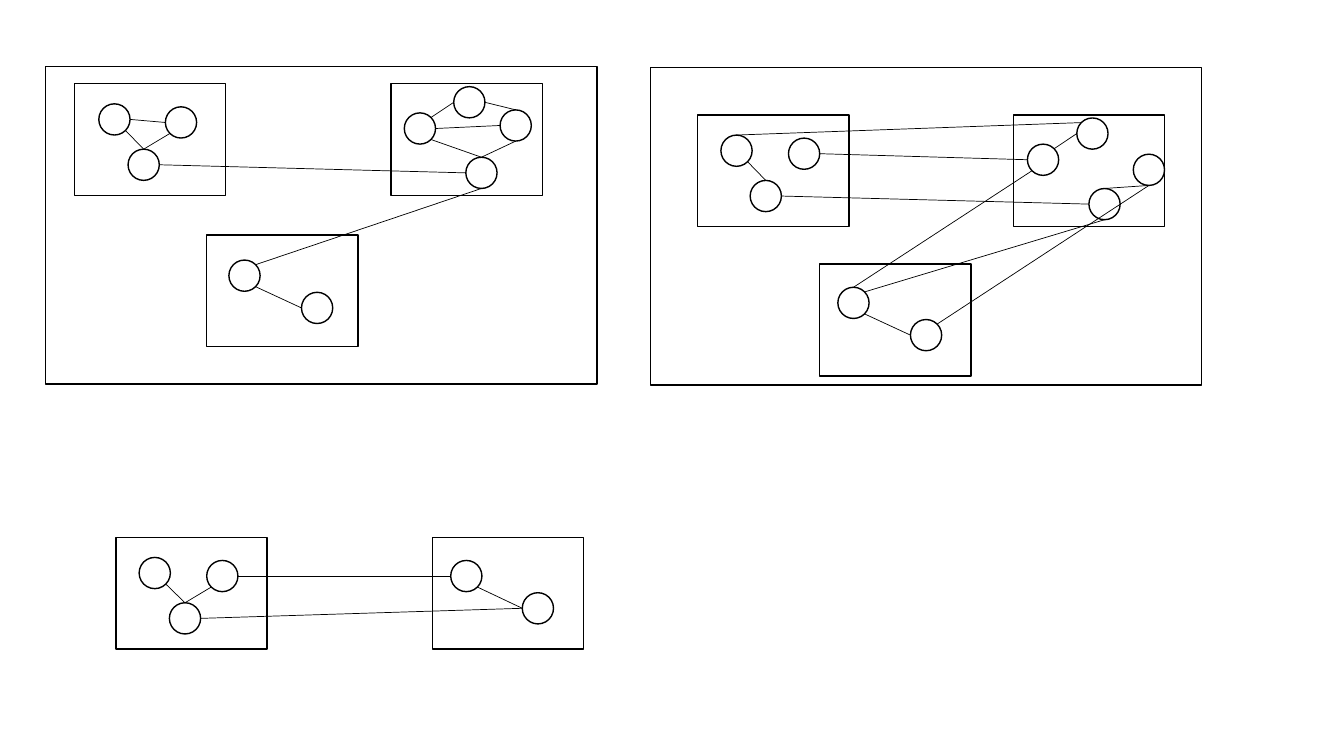
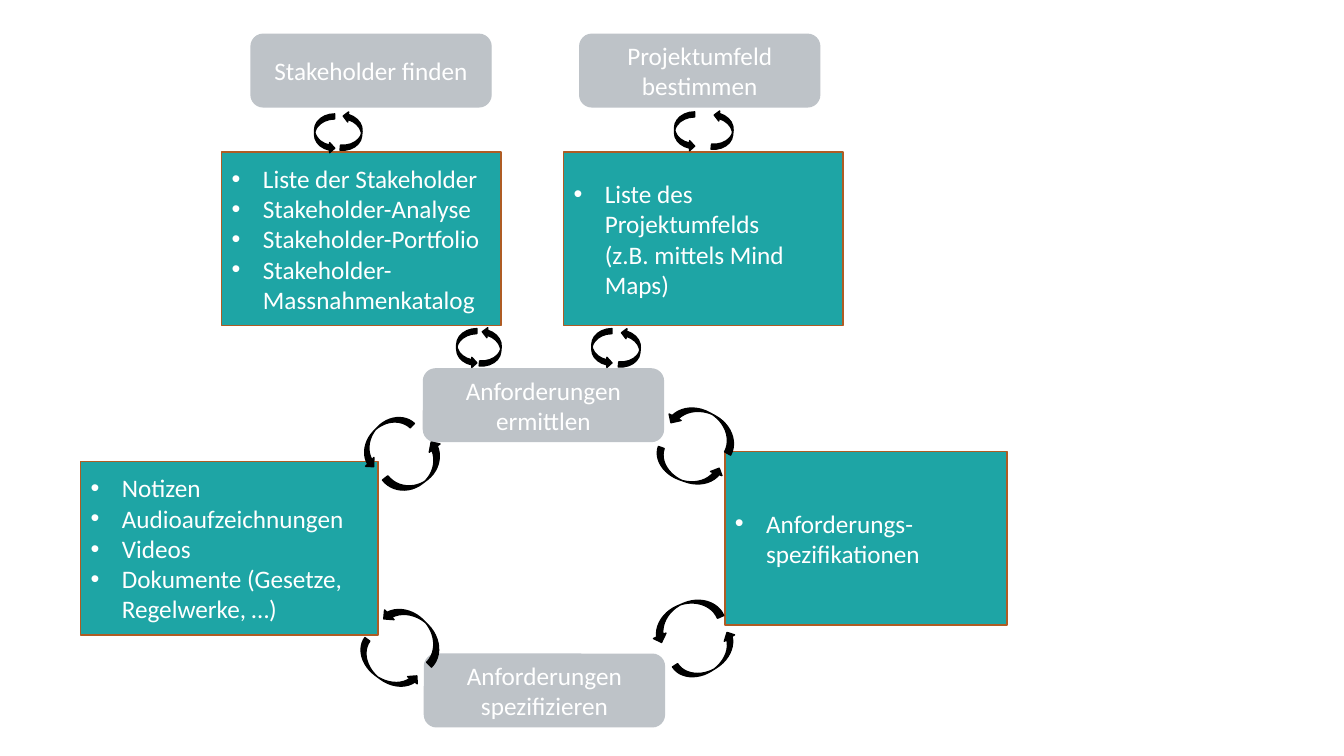
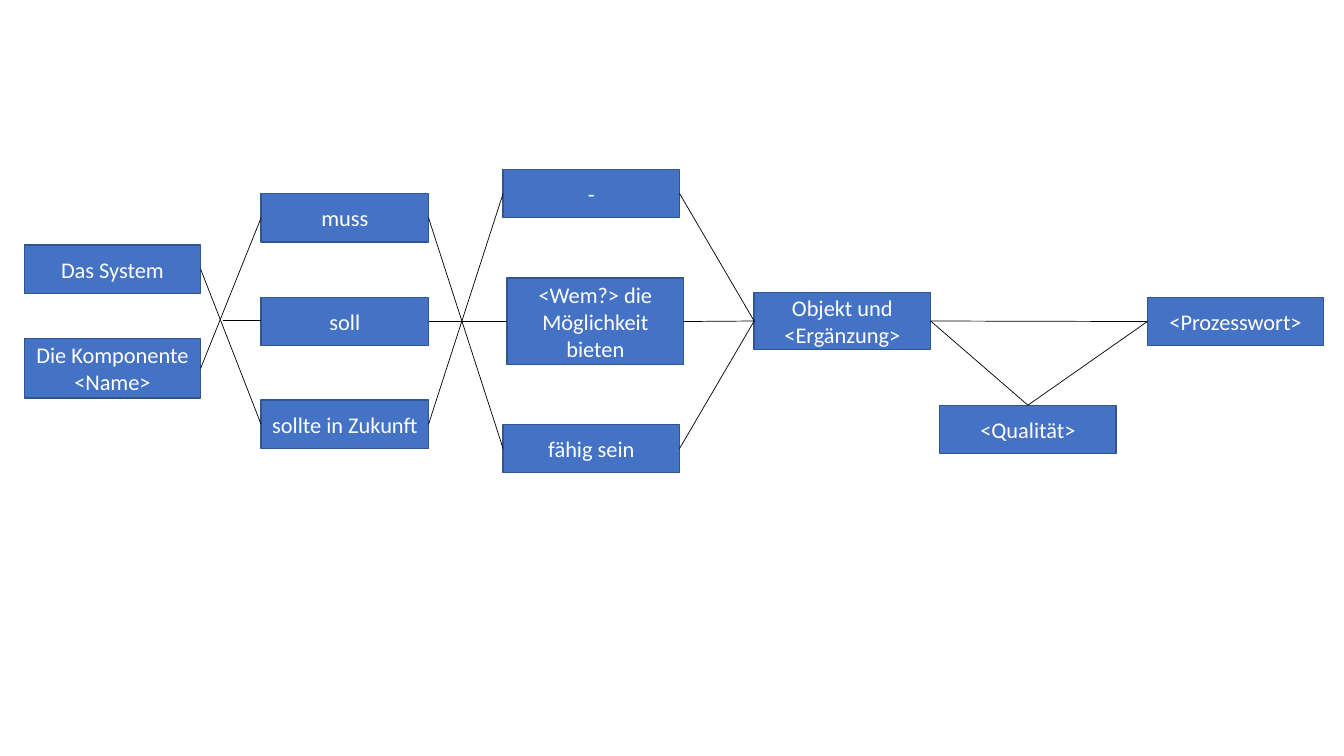
from pptx import Presentation
from pptx.dml.color import RGBColor
from pptx.enum.shapes import MSO_CONNECTOR, MSO_SHAPE
from pptx.enum.text import MSO_ANCHOR, PP_ALIGN
from pptx.oxml.ns import qn
from pptx.util import Inches, Pt

RECT, ROUND, OVAL = MSO_SHAPE.RECTANGLE, MSO_SHAPE.ROUNDED_RECTANGLE, MSO_SHAPE.OVAL
CURVED = MSO_SHAPE.CURVED_RIGHT_ARROW
STRAIGHT = MSO_CONNECTOR.STRAIGHT
MIDDLE, CENTER, LEFT = MSO_ANCHOR.MIDDLE, PP_ALIGN.CENTER, PP_ALIGN.LEFT
BLACK, WHITE = "000000", "FFFFFF"
rgb = RGBColor.from_string


def add_box(s, kind, at, fill, line, lines=(), size=18, bullets=False):
    sp = s.shapes.add_shape(kind, *[Inches(v) for v in at])
    sp.shadow.inherit = False
    sp.fill.solid()
    sp.fill.fore_color.rgb = rgb(fill)
    sp.line.color.rgb = rgb(line)
    sp.line.width = Pt(1)
    tf = sp.text_frame
    tf.word_wrap, tf.vertical_anchor = True, MIDDLE
    for i, text in enumerate(lines):
        p = tf.add_paragraph() if i else tf.paragraphs[0]
        p.text = text
        p.alignment = LEFT if bullets else CENTER
        if bullets:
            pPr = p._p.get_or_add_pPr()
            pPr.set("marL", str(Inches(0.31)))
            pPr.set("indent", str(-Inches(0.31)))
            pPr.makeelement(qn("a:buFont"))
            for tag, key, value in (("a:buFont", "typeface", "Arial"), ("a:buChar", "char", "•")):
                bullet = pPr.makeelement(qn(tag), {key: value})
                pPr.append(bullet)
        for r in p.runs:
            for key, value in {"name": "Calibri", "size": Pt(size)}.items():
                setattr(r.font, key, value)
            r.font.color.rgb = rgb(WHITE)
    return sp


def add_line(s, x1, y1, x2, y2):
    cx = s.shapes.add_connector(STRAIGHT, Inches(x1), Inches(y1), Inches(x2), Inches(y2))
    cx.line.color.rgb = rgb(BLACK)
    cx.line.width = Pt(0.5)
    spPr = cx._element.spPr
    spPr.append(spPr.makeelement(qn("a:effectLst")))
    return cx


prs = Presentation()
prs.slide_width, prs.slide_height = Inches(13.33), Inches(7.5)
blank = prs.slide_layouts[6]

# Slide 1: clusters of nodes inside components
s = prs.slides.add_slide(blank)
for x, y in ((6.45, 0.67), (0.45, 0.66)):
    add_box(s, RECT, (x, y, 5.47, 3.15), WHITE, BLACK)
for x, y in ((0.74, 0.83), (3.88, 0.83), (2.05, 2.33), (1.15, 5.33), (4.29, 5.33),
             (6.92, 1.14), (10.05, 1.14), (8.13, 2.62)):
    add_box(s, RECT, (x, y, 1.5, 1.11), WHITE, BLACK)

DIAMETER = 0.31
nodes = {
    "a1": (0.98, 1.03), "a2": (1.64, 1.06), "a3": (1.27, 1.48),
    "b1": (4.01, 1.12), "b2": (4.5, 0.86), "b3": (4.96, 1.09), "b4": (4.62, 1.56),
    "c1": (2.27, 2.58), "c2": (2.99, 2.9),
    "d1": (1.38, 5.53), "d2": (2.05, 5.56), "d3": (1.68, 5.98),
    "e1": (4.47, 5.56), "e2": (5.18, 5.88),
    "f1": (7.15, 1.34), "f2": (7.82, 1.37), "f3": (7.44, 1.79),
    "g1": (10.19, 1.43), "g2": (10.68, 1.17), "g3": (11.24, 1.53), "g4": (10.8, 1.87),
    "h1": (8.31, 2.85), "h2": (9.03, 3.17),
}
for x, y in nodes.values():
    add_box(s, OVAL, (x, y, DIAMETER, DIAMETER), WHITE, BLACK)

# Compass points on a circle, as fractions of its diameter
sites = {"N": (0.5, 0), "E": (1, 0.5), "S": (0.5, 1), "W": (0, 0.5),
         "NE": (0.85, 0.15), "SE": (0.85, 0.85), "SW": (0.15, 0.85), "NW": (0.15, 0.15)}
edges = (
    "a1 SE a3 N", "a3 N a2 SW", "a1 E a2 W", "a3 E b4 W",
    "b1 SE b4 N", "b1 NE b2 W", "b2 E b3 N", "b3 W b1 E", "b4 N b3 S",
    "c1 SE c2 W", "b4 S c1 NE",
    "d1 SE d3 N", "d3 N d2 SW", "d2 E e1 W", "d3 E e2 W", "e1 SE e2 W",
    "f1 SE f3 N", "f3 E g4 W", "f2 E g1 W", "g2 NW f1 N",
    "g1 NE g2 W", "g4 N g3 S", "h1 SE h2 W",
    "g4 S h1 NE", "g3 S h2 NE", "g1 SW h1 N",
)
for edge in edges:
    start, start_site, end, end_site = edge.split()
    ends = []
    for node, site in ((start, start_site), (end, end_site)):
        ends += [pos + DIAMETER * part for pos, part in zip(nodes[node], sites[site])]
    add_line(s, *ends)

# Slide 2: activities, results and the loops between them
s = prs.slides.add_slide(blank)
activities = (
    (2.49, 0.34, "Stakeholder finden"),
    (5.75, 0.34, "Projektumfeld bestimmen"),
    (4.2, 3.66, "Anforderungen ermittlen"),
    (4.21, 6.49, "Anforderungen spezifizieren"),
)
for x, y, text in activities:
    add_box(s, ROUND, (x, y, 2.38, 0.72), "BEC3C8", "BEC3C8", [text])

results = (
    (0.8, 4.58, 2.95, ["Notizen", "Audioaufzeichnungen", "Videos",
                       "Dokumente (Gesetze, Regelwerke, …)"]),
    (7.19, 4.48, 2.8, ["Anforderungs-spezifikationen"]),
    (5.59, 1.51, 2.77, ["Liste des Projektumfelds \n(z.B. mittels Mind Maps)"]),
    (2.2, 1.51, 2.77, ["Liste der Stakeholder", "Stakeholder-Analyse",
                       "Stakeholder-Portfolio", "Stakeholder-Massnahmenkatalog"]),
)
for x, y, w, items in results:
    add_box(s, RECT, (x, y, w, 1.72), "1EA5A5", "AF5C24", items, bullets=True)

small_arrows = (
    (3.12, 1.13, 0), (4.53, 3.26, 0), (5.87, 3.26, 0), (6.69, 1.11, 0),
    (7.07, 1.1, 185.3), (3.39, 1.11, 185.3), (4.77, 3.25, 185.3), (6.15, 3.26, 185.3),
)
large_arrows = (
    (6.85, 3.85, 0.27, 0.74, 118.5), (6.7, 4.31, 0.24, 0.7, 289.7),
    (4.01, 4.32, 0.27, 0.68, 232.1), (3.68, 4.03, 0.24, 0.65, 43.3),
    (6.65, 5.76, 0.27, 0.74, 66.6), (6.91, 6.18, 0.24, 0.7, 237.7),
    (3.98, 5.89, 0.27, 0.74, 135.3), (3.71, 6.28, 0.24, 0.7, 306.5),
)
arrows = [(x, y, 0.2, 0.39, angle) for x, y, angle in small_arrows] + list(large_arrows)
for *at, angle in arrows:
    add_box(s, CURVED, at, BLACK, BLACK).rotation = angle

# Slide 3: sentence template for requirements
s = prs.slides.add_slide(blank)
parts = {
    "system": (0.24, 2.43, 1.75, 0.48, "Das System"),
    "component": (0.24, 3.36, 1.75, 0.59, "Die Komponente <Name>"),
    "must": (2.59, 1.92, 1.66, 0.48, "muss"),
    "shall": (2.59, 2.95, 1.66, 0.48, "soll"),
    "should": (2.59, 3.97, 1.66, 0.48, "sollte in Zukunft"),
    "none": (4.99, 1.68, 1.75, 0.48, "-"),
    "offer": (5.03, 2.76, 1.75, 0.86, "<Wem?> die Möglichkeit bieten"),
    "able": (4.99, 4.21, 1.75, 0.48, "fähig sein"),
    "object": (7.48, 2.9, 1.75, 0.57, "Objekt und <Ergänzung>"),
    "process": (11.38, 2.95, 1.75, 0.48, "<Prozesswort>"),
    "quality": (9.32, 4.02, 1.75, 0.48, "<Qualität>"),
}
boxes = {}
for name, (*at, text) in parts.items():
    boxes[name] = add_box(s, RECT, at, "4472C4", "325491", [text], size=16)

# Connection sites of a rectangle
TOP_SITE, LEFT_SITE, RIGHT_SITE = 0, 1, 3
links = (
    ("system", RIGHT_SITE, "should", LEFT_SITE),
    ("component", RIGHT_SITE, "must", LEFT_SITE),
    ("must", RIGHT_SITE, "able", LEFT_SITE),
    ("should", RIGHT_SITE, "none", LEFT_SITE),
    ("shall", RIGHT_SITE, "offer", LEFT_SITE),
    ("none", RIGHT_SITE, "object", LEFT_SITE),
    ("offer", RIGHT_SITE, "object", LEFT_SITE),
    ("able", RIGHT_SITE, "object", LEFT_SITE),
    ("object", RIGHT_SITE, "process", LEFT_SITE),
    ("object", RIGHT_SITE, "quality", TOP_SITE),
    ("quality", TOP_SITE, "process", LEFT_SITE),
)
for start, start_site, end, end_site in links:
    cx = add_line(s, 0, 0, 1, 1)
    cx.begin_connect(boxes[start], start_site)
    cx.end_connect(boxes[end], end_site)
add_line(s, 2.21, 3.18, 2.59, 3.18)

prs.save("out.pptx")
